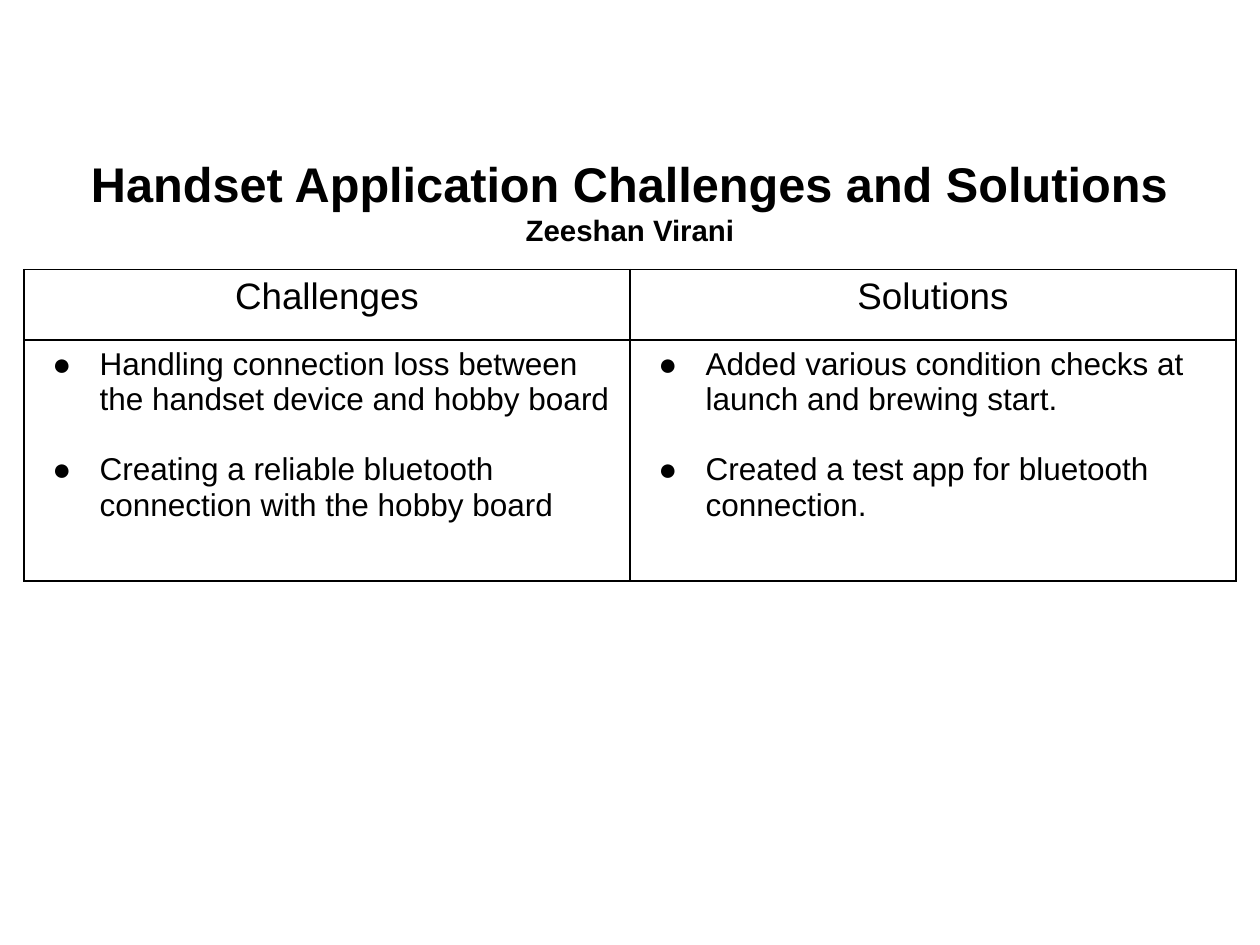
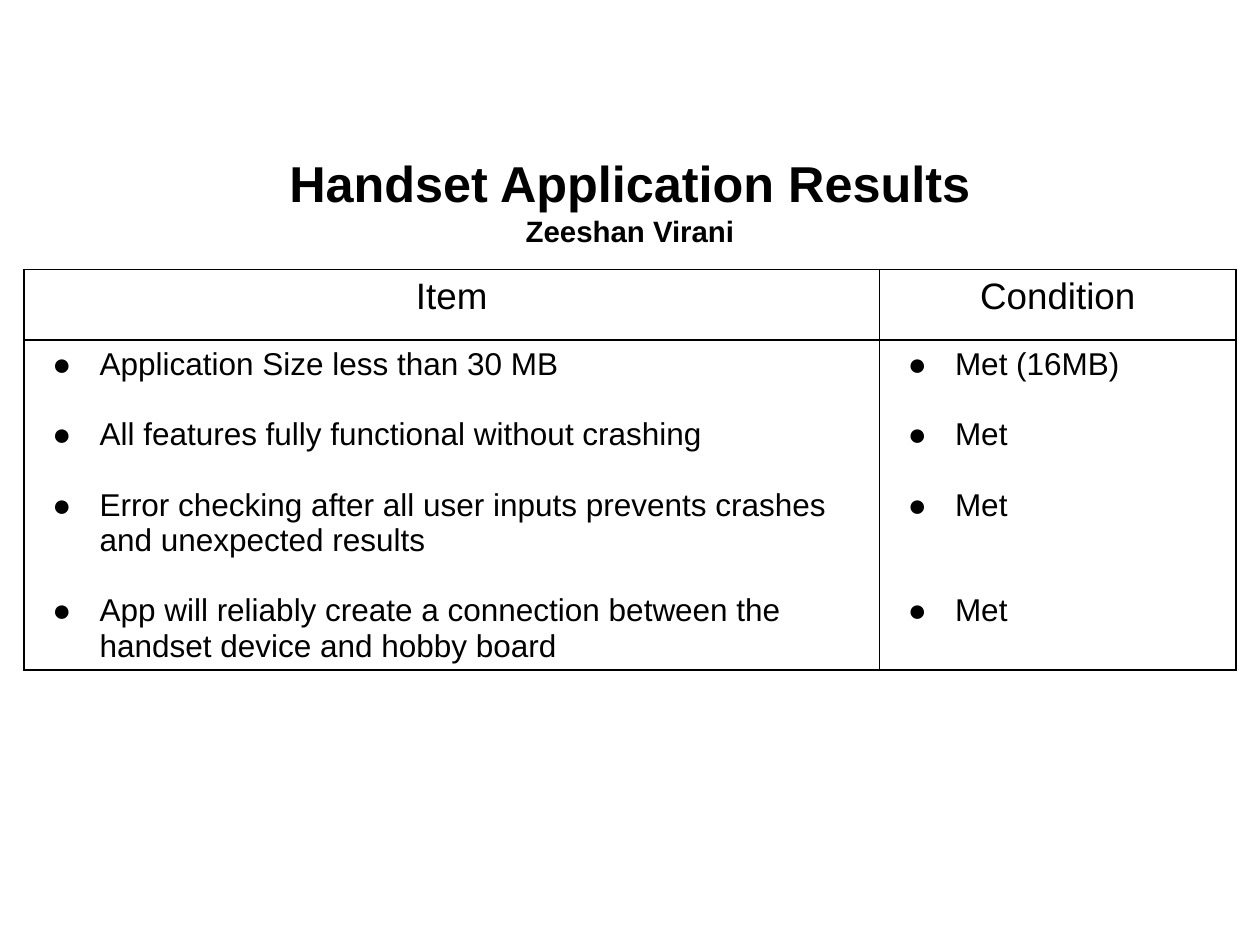
from lxml.etree import SubElement
from pptx import Presentation
from pptx.dml.color import RGBColor
from pptx.enum.text import MSO_ANCHOR, MSO_AUTO_SIZE, PP_ALIGN
from pptx.oxml.ns import qn
from pptx.util import Pt

BLACK = RGBColor(0, 0, 0)
FONT = "Arial"
AUTHOR = "Zeeshan Virani"
LINE = 20.15  # height of one text line in the lists
HEADER_HEIGHT = 40.32
TABLE_LEFT, TABLE_TOP = 13.68, 154.08
MARGINS = {"margin_left": Pt(7.2), "margin_right": Pt(7.2),
           "margin_top": Pt(3.6), "margin_bottom": Pt(3.6)}

# Each list item is its text and the number of free lines above it
PAGES = [
    {"title": "Handset Application Challenges and Solutions", "title_size": 27.8,
     "widths": [346.32, 346.32], "body_height": 137.52,
     "columns": {
         "Challenges": [
             ("Handling connection loss between the handset device and hobby board", 0),
             ("Creating a reliable bluetooth connection with the hobby board", 1)],
         "Solutions": [
             ("Added various condition checks at launch and brewing start.", 0),
             ("Created a test app for bluetooth connection.", 1)]}},
    {"title": "Handset Application Results", "title_size": 28.8,
     "widths": [488.88, 203.76], "body_height": 188,
     "columns": {
         "Item": [
             ("Application Size less than 30 MB", 0),
             ("All features fully functional without crashing", 1),
             ("Error checking after all user inputs prevents crashes and unexpected results", 1),
             ("App will reliably create a connection between the handset device and hobby board", 1)],
         "Condition": [("Met (16MB)", 0), ("Met", 1), ("Met", 1), ("Met", 2)]}},
]


def write(para, text, size, bold=False):
    span = para.add_run()
    span.text = text
    span.font.color.rgb = BLACK
    for name, value in {"name": FONT, "size": Pt(size), "bold": bold}.items():
        setattr(span.font, name, value)


def format_cell(cell):
    for name, value in MARGINS.items():
        setattr(cell, name, value)
    properties = cell._tc.get_or_add_tcPr()
    for side in ("lnL", "lnR", "lnT", "lnB"):
        border = SubElement(properties, qn(f"a:{side}"), w=str(Pt(1)))
        fill = SubElement(border, qn("a:solidFill"))
        SubElement(fill, qn("a:srgbClr"), val=str(BLACK))
    cell.fill.background()


deck = Presentation()
deck.slide_width, deck.slide_height = Pt(720), Pt(540)

for page in PAGES:
    slide = deck.slides.add_slide(deck.slide_layouts[5])

    # Title with the author below it
    title = slide.shapes.title
    place = {"left": 36, "top": 82.8, "width": 648, "height": 63.36}
    for name, value in place.items():
        setattr(title, name, Pt(value))
    frame = title.text_frame
    frame_format = {"word_wrap": True, "auto_size": MSO_AUTO_SIZE.NONE,
                    "vertical_anchor": MSO_ANCHOR.MIDDLE, **MARGINS}
    for name, value in frame_format.items():
        setattr(frame, name, value)
    write(frame.paragraphs[0], page["title"], page["title_size"], bold=True)
    write(frame.add_paragraph(), AUTHOR, 16.8, bold=True)
    for para in frame.paragraphs:
        para.alignment = PP_ALIGN.CENTER

    # Table with a header row and one row of lists
    table = slide.shapes.add_table(
        2, len(page["columns"]), Pt(TABLE_LEFT), Pt(TABLE_TOP),
        Pt(sum(page["widths"])), Pt(HEADER_HEIGHT + page["body_height"])).table
    table.first_row = table.horz_banding = False
    table.rows[0].height = Pt(HEADER_HEIGHT)
    table.rows[1].height = Pt(page["body_height"])

    for index, (heading, items) in enumerate(page["columns"].items()):
        table.columns[index].width = Pt(page["widths"][index])
        header, body = table.cell(0, index), table.cell(1, index)
        format_cell(header)
        format_cell(body)
        para = header.text_frame.paragraphs[0]
        para.alignment = PP_ALIGN.CENTER
        write(para, heading, 21)

        # Bulleted list
        for number, (text, free_lines) in enumerate(items):
            frame = body.text_frame
            para = frame.add_paragraph() if number else frame.paragraphs[0]
            para.space_before = Pt(free_lines * LINE)
            write(para, text, 18)
            properties = para._p.get_or_add_pPr()
            properties.set("marL", str(Pt(36)))
            properties.set("indent", str(Pt(-27)))
            colour = SubElement(properties, qn("a:buClr"))
            SubElement(colour, qn("a:srgbClr"), val=str(BLACK))
            SubElement(properties, qn("a:buFont"), typeface=FONT)
            SubElement(properties, qn("a:buChar"), char="●")

deck.save("out.pptx")
